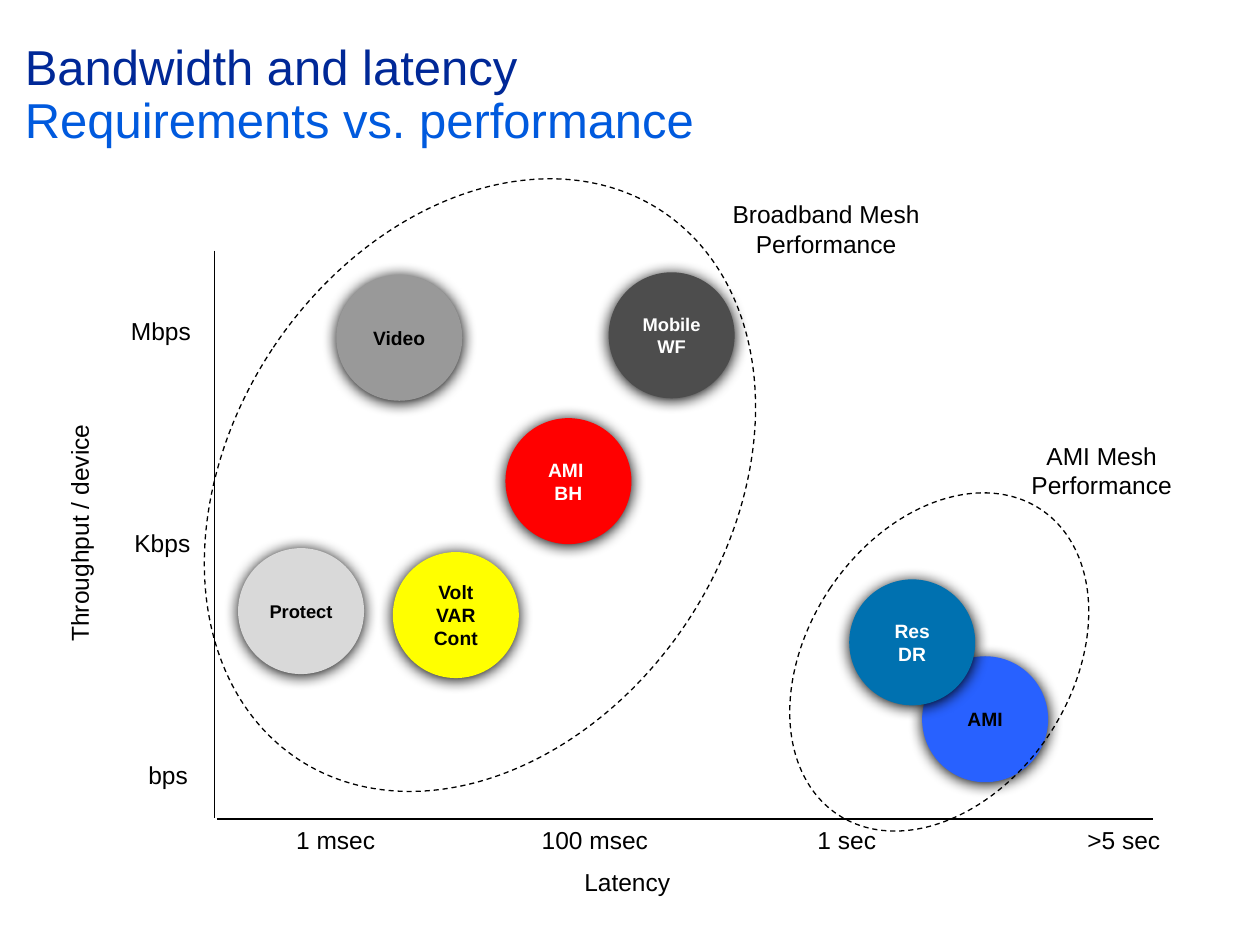
import pptx
import pptx.dml.color
import pptx.enum.dml
import pptx.enum.shapes
import pptx.enum.text
import pptx.oxml
import pptx.oxml.ns
import pptx.util
from pptx.util import Cm

ANCHOR = pptx.enum.text.MSO_ANCHOR
ALIGN = pptx.enum.text.PP_ALIGN
OVAL = pptx.enum.shapes.MSO_SHAPE.OVAL


def color(hex_text):
    return pptx.dml.color.RGBColor.from_string(hex_text)


def write(frame, text, size=14, ink="000000", bold=False, align=ALIGN.LEFT,
          anchor=ANCHOR.TOP, wrap=True, spacing=None, insets=None):
    """Fill a text frame, one paragraph for each line of text."""
    frame.word_wrap = wrap
    frame.vertical_anchor = anchor
    frame.auto_size = pptx.enum.text.MSO_AUTO_SIZE.NONE
    if insets:
        (frame.margin_left, frame.margin_top,
         frame.margin_right, frame.margin_bottom) = map(Cm, insets)
    for number, line in enumerate(text.split("\n")):
        paragraph = frame.add_paragraph() if number else frame.paragraphs[0]
        paragraph.alignment = align
        paragraph.space_before = pptx.util.Pt(0)
        if spacing:
            paragraph.line_spacing = spacing
        run = paragraph.add_run()
        run.text = line
        run.font.name = "Arial"
        run.font.size = pptx.util.Pt(size)
        run.font.bold = bold
        run.font.color.rgb = color(ink)


class LatencyChart:
    line_color = "000000"
    line_width = pptx.util.Pt(0.75)
    label_height = 0.86
    bubble_size = 2.54

    def __init__(self, slide):
        self.slide = slide

    def heading(self, placeholder, text, ink, top, height, inset_top):
        placeholder.left, placeholder.top = Cm(0), Cm(top)
        placeholder.width, placeholder.height = Cm(25.4), Cm(height)
        write(placeholder.text_frame, text, size=28, ink=ink, spacing=0.9,
              insets=(0.5, inset_top, 0.6, 0))

    def stroke(self, line):
        line.color.rgb = color(self.line_color)
        line.width = self.line_width

    def axis(self, x1, y1, x2, y2):
        axis = self.slide.shapes.add_connector(
            pptx.enum.shapes.MSO_CONNECTOR.STRAIGHT,
            Cm(x1), Cm(y1), Cm(x2), Cm(y2))
        self.stroke(axis.line)
        axis._element.spPr.append(pptx.oxml.parse_xml(
            f"<a:effectLst {pptx.oxml.ns.nsdecls('a')}/>"))

    def label(self, text, left, top, width, height=label_height, rotation=0, **style):
        label = self.slide.shapes.add_textbox(Cm(left), Cm(top), Cm(width), Cm(height))
        label.rotation = rotation
        write(label.text_frame, text, **style)

    def oval(self, left, top, width, height):
        oval = self.slide.shapes.add_shape(OVAL, Cm(left), Cm(top), Cm(width), Cm(height))
        oval.shadow.inherit = False
        return oval

    def bubble(self, text, left, top, fill, ink="000000", size=11):
        bubble = self.oval(left, top, self.bubble_size, self.bubble_size)
        bubble.fill.solid()
        bubble.fill.fore_color.rgb = color(fill)
        bubble.line.fill.background()
        effects = bubble._element.spPr.find(pptx.oxml.ns.qn("a:effectLst"))
        effects.append(pptx.oxml.parse_xml(
            f"<a:outerShdw {pptx.oxml.ns.nsdecls('a')} blurRad='{pptx.util.Pt(8.5)}' "
            f"dist='{pptx.util.Pt(1)}' dir='5400000' algn='ctr' rotWithShape='0'>"
            "<a:srgbClr val='000000'/></a:outerShdw>"))
        write(bubble.text_frame, text, size=size, ink=ink, bold=True,
              align=ALIGN.CENTER, anchor=ANCHOR.MIDDLE)

    def performance_range(self, left, top, width, height):
        outline = self.oval(left, top, width, height)
        outline.rotation = 33.7
        outline.fill.background()
        self.stroke(outline.line)
        outline.line.dash_style = pptx.enum.dml.MSO_LINE.DASH


def main():
    deck = pptx.Presentation()
    deck.slide_width, deck.slide_height = Cm(25.4), Cm(19.05)
    slide = deck.slides.add_slide(deck.slide_layouts[0])
    chart = LatencyChart(slide)

    # Title and subtitle
    chart.heading(slide.shapes.title, "Bandwidth and latency", "002897", 0, 3.23, 0.86)
    chart.heading(slide.placeholders[1], "Requirements vs. performance",
                  "005ADE", 1.93, 1.3, 0)

    # Axes and their names
    chart.axis(4.32, 5.05, 4.32, 16.48)
    chart.axis(4.37, 16.51, 23.24, 16.51)
    chart.label("Latency", 11.53, 17.35, 2.44, wrap=False)
    chart.label("Throughput / device", -1.19, 9.96, 5.59, rotation=270, wrap=False)

    # Scale labels
    for rate, left, top, width in (("bps", 2.74, 15.19, 1.4),
                                   ("Mbps", 2.39, 6.25, 1.8),
                                   ("Kbps", 2.46, 10.52, 1.75)):
        chart.label(rate, left, top, width, wrap=False)
    for delay, left, width in (("1 msec", 5.72, 2.31), ("100 msec", 10.67, 2.95),
                               ("1 sec", 16.23, 1.83), (">5 sec", 21.67, 2.24)):
        chart.label(delay, left, 16.51, width, wrap=False)

    # Applications
    chart.bubble("AMI", 18.59, 13.23, "2861FF")
    chart.bubble("AMI \nBH", 10.19, 8.43, "FF0000", ink="FFFFFF")
    chart.bubble("Res\nDR", 17.12, 11.68, "0071B0", ink="FFFFFF")
    chart.bubble("Protect", 4.8, 11.05, "D9D9D9", size=10.5)
    chart.bubble("Video", 6.78, 5.54, "999999")
    chart.bubble("Volt VAR\nCont", 7.92, 11.13, "FFFF00")
    chart.bubble("Mobile\nWF", 12.27, 5.49, "4D4D4D", ink="FFFFFF", size=10.5)

    # Performance ranges of the two networks
    chart.performance_range(4.67, 3.15, 10.01, 13.26)
    chart.performance_range(16.28, 9.65, 5.31, 7.39)
    for network, left, top, width in (("Broadband Mesh Performance", 14.1, 3.89, 5.11),
                                      ("AMI Mesh Performance", 20.29, 8.76, 3.84)):
        chart.label(network, left, top, width, 1.45,
                    align=ALIGN.CENTER, anchor=ANCHOR.MIDDLE)

    deck.save("out.pptx")


if __name__ == "__main__":
    main()
